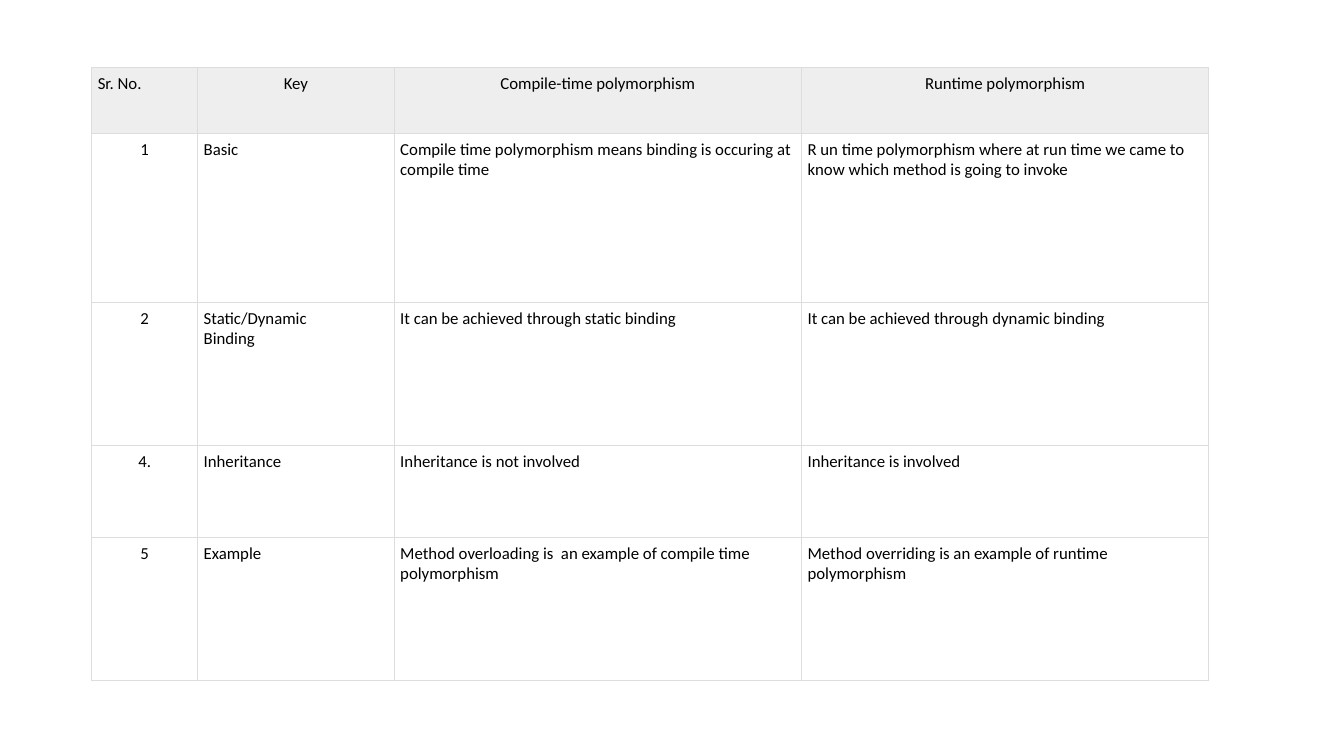
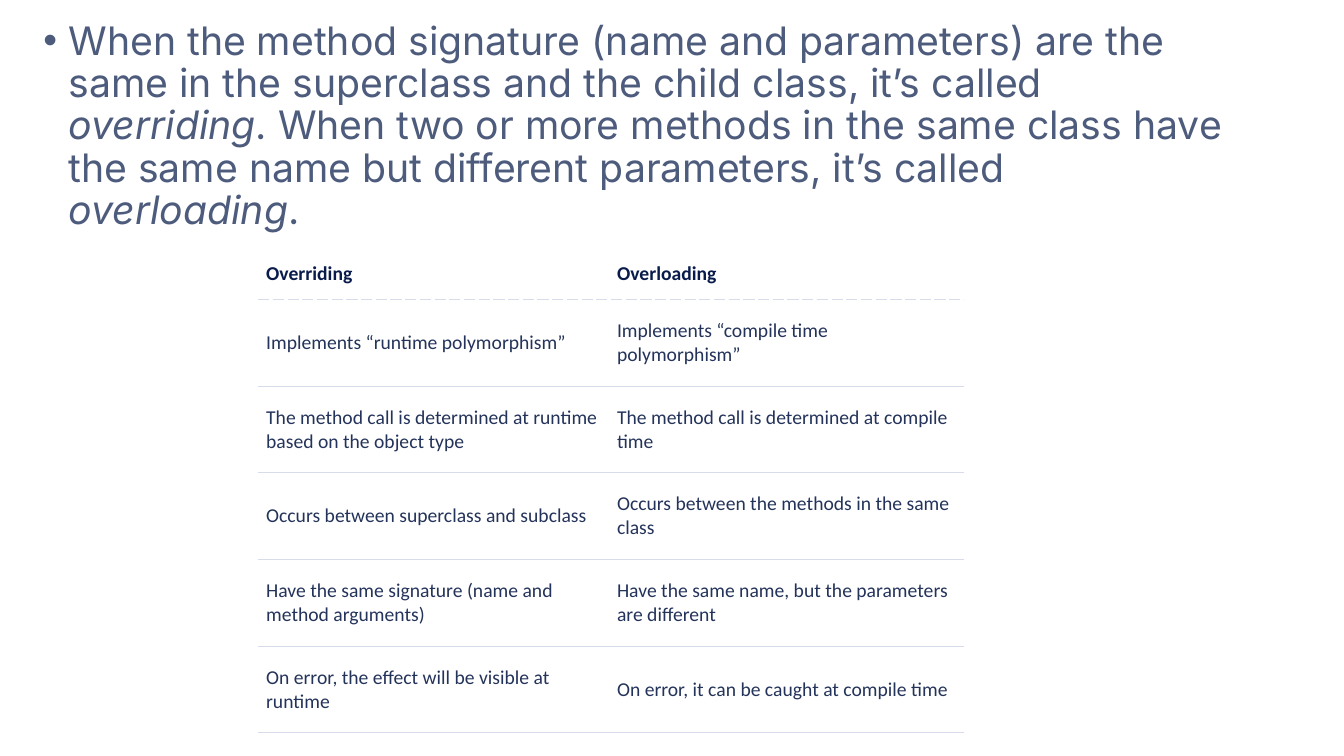
from dataclasses import dataclass

from lxml import etree
from pptx import Presentation
from pptx.dml.color import RGBColor
from pptx.enum.text import MSO_ANCHOR, MSO_AUTO_SIZE, PP_ALIGN
from pptx.oxml.ns import qn
from pptx.util import Inches, Pt

LEFT, CENTER = PP_ALIGN.LEFT, PP_ALIGN.CENTER
TOP, MIDDLE = MSO_ANCHOR.TOP, MSO_ANCHOR.MIDDLE
NO_FIT = MSO_AUTO_SIZE.NONE
CONTENT_LAYOUT, BLANK_LAYOUT = 1, 6


@dataclass(frozen=True)
class Theme:
    table_font: str = "Calibri"
    lead_font: str = "Inter"
    black: str = "000000"
    white: str = "FFFFFF"
    header_fill: str = "EEEEEE"
    grid: str = "DDDDDD"
    rule: str = "D6DCEA"
    lead: str = "4D5B7C"
    navy: str = "081B4B"
    slate: str = "24335A"
    small: int = 12
    medium: int = 14
    large: int = 28
    line: float = 0.75


class Deck:
    """Holds the theme, the presentation and the current slide."""

    def __init__(self, theme):
        self.theme = theme
        self.file = Presentation()
        self.file.slide_width, self.file.slide_height = Inches(13.33), Inches(7.5)
        self.page = None

    def add_page(self, layout):
        self.page = self.file.slides.add_slide(self.file.slide_layouts[layout])

    def style(self, span, font, size, color, bold=False, italic=False):
        span.font.name, span.font.size = font, Pt(size)
        span.font.bold, span.font.italic = bold, italic
        span.font.color.rgb = RGBColor.from_string(color)

    def lead_text(self, spans, left, top, width, height):
        """Fill the body placeholder with one bulleted paragraph of (text, italic) spans."""
        title = self.page.shapes.title
        title.element.getparent().remove(title.element)
        box = self.page.placeholders[1]
        box.left, box.top = Inches(left), Inches(top)
        box.width, box.height = Inches(width), Inches(height)
        frame = box.text_frame
        frame.auto_size, frame.vertical_anchor = NO_FIT, TOP
        para = frame.paragraphs[0]
        para.alignment, para.line_spacing, para.space_before = LEFT, 0.9, Pt(10)
        for text, italic in spans:
            span = para.add_run()
            span.text = text
            self.style(span, self.theme.lead_font, self.theme.large,
                       self.theme.lead, italic=italic)
        # Hanging bullet
        props = para._p.get_or_add_pPr()
        props.set("marL", str(Inches(0.25)))
        props.set("indent", str(-Inches(0.25)))
        etree.SubElement(props, qn("a:buFont"), typeface="Arial")
        etree.SubElement(props, qn("a:buChar"), char="•")

    def table(self, rows, left, top, widths, heights):
        frame = self.page.shapes.add_table(
            len(rows), len(widths), Inches(left), Inches(top),
            Inches(sum(widths)), Inches(sum(heights)))
        table = frame.table
        table.first_row = table.horz_banding = False
        for column, width in zip(table.columns, widths):
            column.width = Inches(width)
        for row, height in zip(table.rows, heights):
            row.height = Inches(height)
        for row, texts in zip(table.rows, rows):
            for cell, text in zip(row.cells, texts):
                cell.text = text
        return table

    def format_cell(self, cell, size, color, fill, insets, borders,
                    bold=False, align=LEFT, anchor=TOP):
        """Borders map a side (L, R, T, B) to (colour, dash); other sides stay bare."""
        (cell.margin_left, cell.margin_top,
         cell.margin_right, cell.margin_bottom) = map(Inches, insets)
        cell.vertical_anchor = anchor
        for side in "LRTB":
            self.border(cell, side, *borders.get(side, (None, None)))
        cell.fill.solid()
        cell.fill.fore_color.rgb = RGBColor.from_string(fill)
        for para in cell.text_frame.paragraphs:
            para.alignment = align
            for span in para.runs:
                self.style(span, self.theme.table_font, size, color, bold)

    def border(self, cell, side, color, dash):
        props = cell._tc.get_or_add_tcPr()
        line = etree.SubElement(props, qn(f"a:ln{side}"), w=str(Pt(self.theme.line)))
        if color is None:
            etree.SubElement(line, qn("a:noFill"))
            return
        paint = etree.SubElement(line, qn("a:solidFill"))
        etree.SubElement(paint, qn("a:srgbClr"), val=color)
        etree.SubElement(line, qn("a:prstDash"), val=dash)


POLYMORPHISM = [
    ("Sr. No.", "Key", "Compile-time polymorphism", "Runtime polymorphism"),
    ("1", "Basic",
     "Compile time polymorphism means binding is occuring at compile time",
     "R un time polymorphism where at run time we came to know which method is going to invoke"),
    ("2", "Static/Dynamic\vBinding", "It can be achieved through static binding",
     "It can be achieved through dynamic binding"),
    ("4.", "Inheritance", "Inheritance is not involved", "Inheritance is involved"),
    ("5", "Example",
     "Method overloading is  an example of compile time polymorphism",
     "Method overriding is an example of runtime polymorphism"),
]

LEAD = [
    ("When the method signature (name and parameters) are the same in the superclass "
     "and the child class, it’s called ", False),
    ("overriding", True),
    (". When two or more methods in the same class have the same name but different "
     "parameters, it’s called ", False),
    ("overloading", True),
    (".", False),
]

OVERRIDING = [
    ("Overriding", "Overloading"),
    ("Implements “runtime polymorphism”", "Implements “compile time polymorphism”"),
    ("The method call is determined at runtime based on the object type",
     "The method call is determined at compile time"),
    ("Occurs between superclass and subclass",
     "Occurs between the methods in the same class"),
    ("Have the same signature (name and method arguments)",
     "Have the same name, but the parameters are different"),
    ("On error, the effect will be visible at runtime",
     "On error, it can be caught at compile time"),
]


def polymorphism_page(deck):
    theme = deck.theme
    deck.add_page(BLANK_LAYOUT)
    table = deck.table(POLYMORPHISM, 0.91, 0.67, [1.05, 1.95, 4.04, 4.04],
                       [0.65, 1.68, 1.42, 0.91, 1.42])
    grid = dict.fromkeys("LRTB", (theme.grid, "solid"))
    for i, row in enumerate(table.rows):
        for j, cell in enumerate(row.cells):
            # Headings are centred except the first; below, only the numbers are
            centred = (i == 0) != (j == 0)
            deck.format_cell(cell, theme.small, theme.black,
                             theme.white if i else theme.header_fill,
                             [0.06] * 4, grid, align=CENTER if centred else LEFT)


def overriding_page(deck):
    theme = deck.theme
    deck.add_page(CONTENT_LAYOUT)
    deck.lead_text(LEAD, 0.33, 0.16, 12.08, 6.59)
    table = deck.table(OVERRIDING, 2.56, 2.47, [3.5, 3.5], [0.5] + [0.86] * 5)
    dashed, solid = (theme.rule, "dash"), (theme.rule, "solid")
    for i, row in enumerate(table.rows):
        header = i == 0
        borders = {"B": dashed if header else solid}
        if not header:
            borders["T"] = dashed if i == 1 else solid
        pad = 0.13 if header else 0.19
        for j, cell in enumerate(row.cells):
            insets = (0.06, pad, 0.08, pad) if j else (0.08, pad, 0.06, pad)
            deck.format_cell(cell, theme.medium, theme.navy if header else theme.slate,
                             theme.white, insets, borders, bold=header, anchor=MIDDLE)


def main():
    deck = Deck(Theme())
    polymorphism_page(deck)
    overriding_page(deck)
    deck.file.save("out.pptx")


if __name__ == "__main__":
    main()
